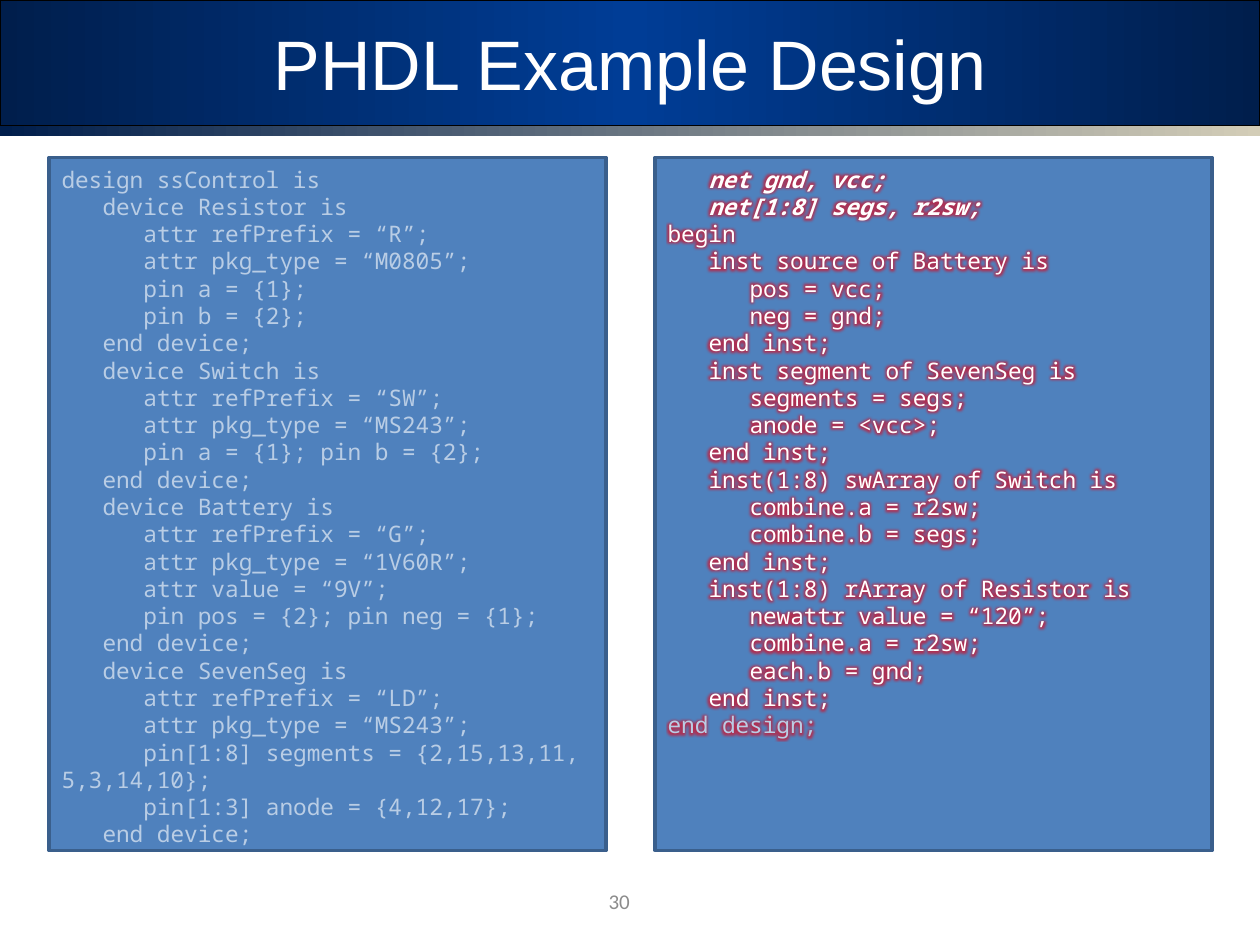
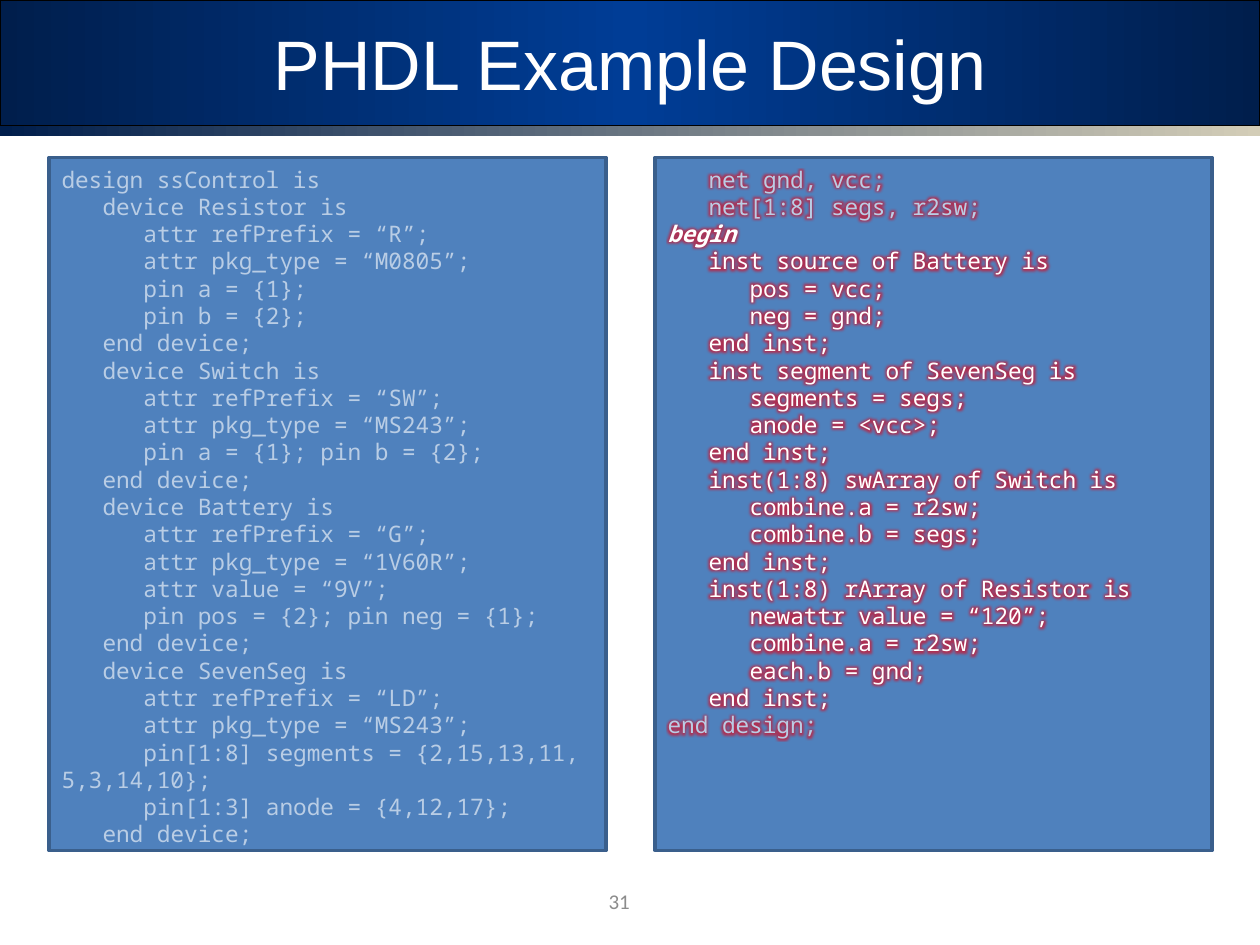
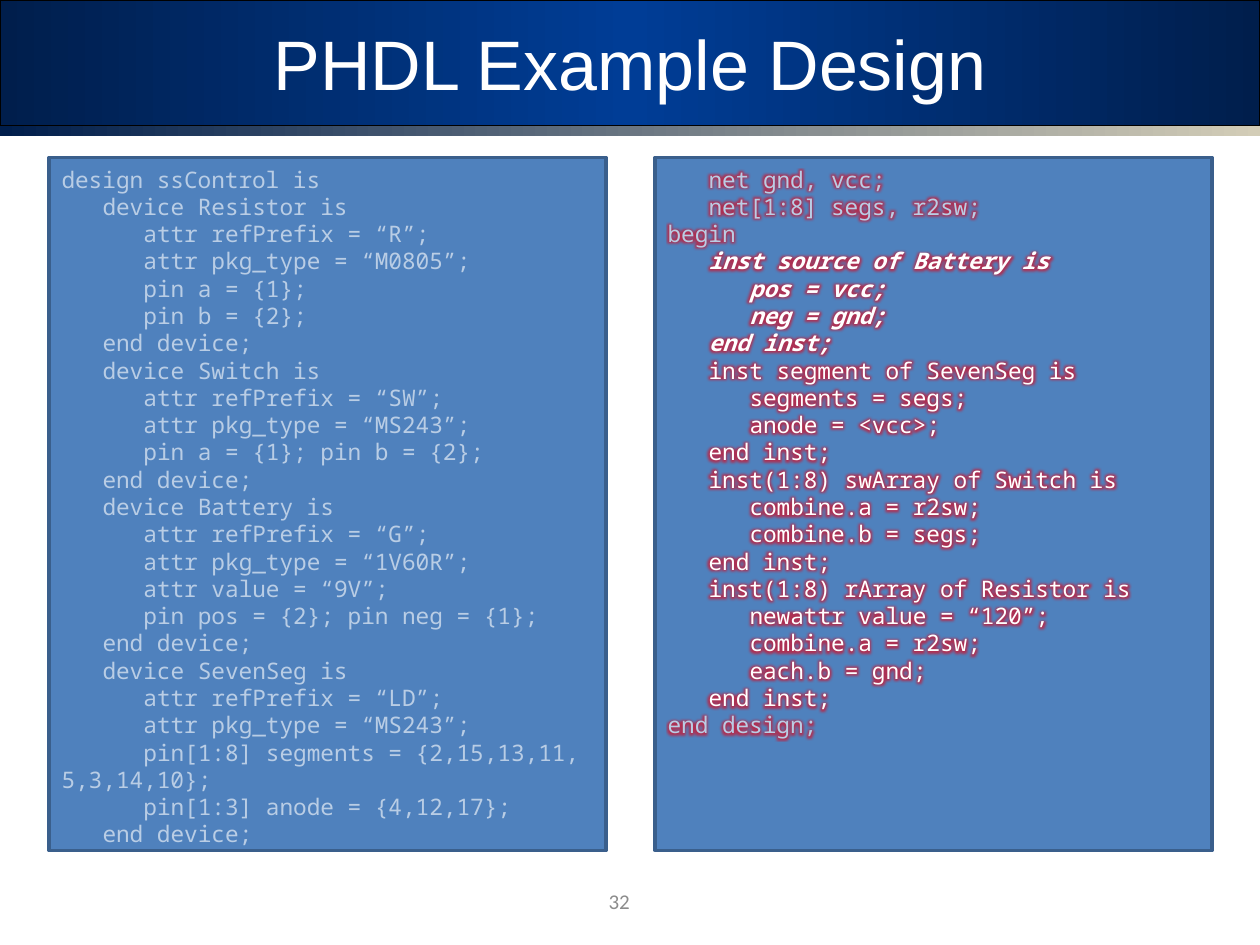
"""Build three slides that step through a PHDL example design."""
from dataclasses import dataclass

from lxml.etree import SubElement
from pptx import Presentation
from pptx.dml.color import RGBColor
from pptx.enum.shapes import MSO_SHAPE
from pptx.enum.text import MSO_ANCHOR, PP_ALIGN
from pptx.oxml import parse_xml
from pptx.oxml.ns import nsdecls, qn
from pptx.util import Pt


@dataclass(frozen=True)
class Theme:
    navy: str = "001E4C"
    royal: str = "003D96"
    sand: str = "D3CDB7"
    black: str = "000000"
    white: str = "FFFFFF"
    gray: str = "8C8C8C"
    panel: str = "4F81BD"
    edge: str = "3A5F8C"
    dim: str = "B9CDE5"
    glow: str = "CC1530"
    head: int = 40
    code: int = 13
    foot: int = 12
    lead: float = 15.6
    step: float = 23.4
    sans: str = "Arial"
    body: str = "Calibri"
    mono: str = "Noto Sans Mono"


T = Theme()

PARTS = """design ssControl is
   device Resistor is
      attr refPrefix = “R”;
      attr pkg_type = “M0805”;
      pin a = {1};
      pin b = {2};
   end device;
   device Switch is
      attr refPrefix = “SW”;
      attr pkg_type = “MS243”;
      pin a = {1}; pin b = {2};
   end device;
   device Battery is
      attr refPrefix = “G”;
      attr pkg_type = “1V60R”;
      attr value = “9V”;
      pin pos = {2}; pin neg = {1};
   end device;
   device SevenSeg is
      attr refPrefix = “LD”;
      attr pkg_type = “MS243”;
      pin[1:8] segments = {2,15,13,11, 5,3,14,10};
      pin[1:3] anode = {4,12,17};
   end device;""".splitlines()

NETS = """   net gnd, vcc;
   net[1:8] segs, r2sw;
begin
   inst source of Battery is
      pos = vcc;
      neg = gnd;
   end inst;
   inst segment of SevenSeg is
      segments = segs;
      anode = <vcc>;
   end inst;
   inst(1:8) swArray of Switch is
      combine.a = r2sw;
      combine.b = segs;
   end inst;
   inst(1:8) rArray of Resistor is
      newattr value = “120”;
      combine.a = r2sw;
      each.b = gnd;
   end inst;
end design;""".splitlines()

BANDS = (
    (MSO_SHAPE.RECTANGLE, 0, 72, (T.navy, T.royal, T.navy), T.black),
    (MSO_SHAPE.ROUNDED_RECTANGLE, 72, 5.76, (T.navy, T.sand), None),
)
STEPS = ((30, 0, 2), (31, 2, 3), (32, 3, 7))


def write(frame, text, font, size, color, align=PP_ALIGN.LEFT, strong=False,
          indent=0, lead=None, glow=None):
    para = frame.paragraphs[0]
    if para.runs:
        para = frame.add_paragraph()
    para.alignment = align
    if lead:
        para.line_spacing = Pt(lead)
    if indent:
        para._p.get_or_add_pPr().set("indent", str(Pt(indent)))
    run = para.add_run()
    run.text = text
    run.font.size = Pt(size)
    run.font.bold = run.font.italic = strong
    run.font.color.rgb = RGBColor.from_string(color)
    run.font.name = font
    if glow:
        halo = parse_xml(
            f'<a:effectLst {nsdecls("a")}><a:glow rad="{Pt(5)}">'
            f'<a:srgbClr val="{glow}"><a:alpha val="75000"/></a:srgbClr>'
            '</a:glow></a:effectLst>')
        run._r.rPr.find(qn("a:solidFill")).addnext(halo)


deck = Presentation()
deck.slide_width, deck.slide_height = Pt(720), Pt(540)

for page, start, stop in STEPS:
    slide = deck.slides.add_slide(deck.slide_layouts[6])

    for kind, top, high, tones, rim in BANDS:
        band = slide.shapes.add_shape(kind, 0, Pt(top), Pt(720), Pt(high))
        band.shadow.inherit = False
        if len(band.adjustments):
            band.adjustments[0] = 0.02
        band.fill.gradient()
        band.fill.gradient_angle = 0
        stops = band._element.spPr.find(".//" + qn("a:gsLst"))
        stops.clear()
        for spot, tone in enumerate(tones):
            place = str(100000 * spot // (len(tones) - 1))
            mark = SubElement(stops, qn("a:gs"), pos=place)
            SubElement(mark, qn("a:srgbClr"), val=tone)
        if rim:
            band.line.color.rgb = RGBColor.from_string(rim)
            band.line.width = Pt(0.75)
        else:
            band.line.fill.background()

    for text, box, font, size, color in (
        ("PHDL Example Design", (36, 0, 648, 72), T.sans, T.head, T.white),
        (str(page), (270, 500.4, 167.76, 28.8), T.body, T.foot, T.gray),
    ):
        frame = slide.shapes.add_textbox(*map(Pt, box)).text_frame
        frame.word_wrap = True
        frame.vertical_anchor = MSO_ANCHOR.MIDDLE
        write(frame, text, font, size, color, align=PP_ALIGN.CENTER)

    for left, lines, glow in ((28.08, PARTS, None), (374.4, NETS, T.glow)):
        panel = slide.shapes.add_shape(
            MSO_SHAPE.RECTANGLE, Pt(left), Pt(90), Pt(318.24), Pt(396))
        panel.shadow.inherit = False
        panel.fill.solid()
        panel.fill.fore_color.rgb = RGBColor.from_string(T.panel)
        panel.line.color.rgb = RGBColor.from_string(T.edge)
        panel.line.width = Pt(2)
        frame = panel.text_frame
        frame.word_wrap = True
        frame.vertical_anchor = MSO_ANCHOR.TOP
        frame.margin_top = Pt(4.5)
        for row, line in enumerate(lines):
            text = line.lstrip()
            depth = (len(line) - len(text)) // 3
            lit = lines is NETS and start <= row < len(NETS) - 1
            write(frame, text, T.mono, T.code, T.white if lit else T.dim,
                  strong=lit and row < stop, indent=depth * T.step,
                  lead=T.lead, glow=glow)

deck.save("out.pptx")
